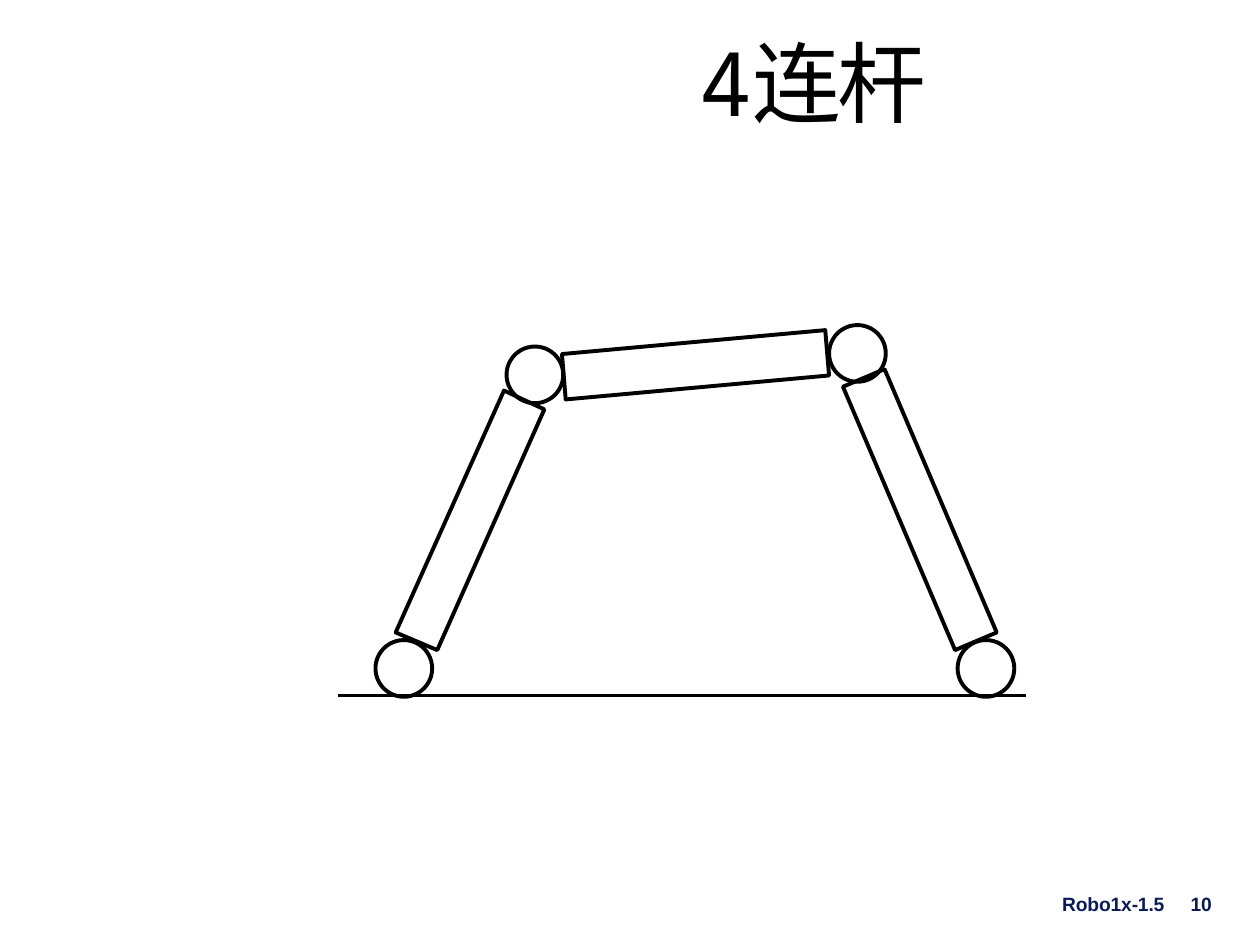
import pptx
import pptx.util
import pptx.dml.color
import pptx.enum.shapes
import pptx.enum.text
from lxml import etree
from pptx.oxml.ns import qn

Inches = pptx.util.Inches
Pt = pptx.util.Pt
BLACK = pptx.dml.color.RGBColor(0x00, 0x00, 0x00)
NAVY = pptx.dml.color.RGBColor(0x0A, 0x1B, 0x55)

JOINT_SIZE = 0.45
# Left, top of each joint relative to the linkage box
JOINTS = [(0.30, 2.50), (1.34, 0.17), (3.90, 0.00), (4.92, 2.50)]
# Corners of each bar relative to the linkage box
BARS = [
    [(0.46, 2.44), (1.32, 0.52), (1.64, 0.67), (0.79, 2.58)],
    [(1.78, 0.23), (3.87, 0.04), (3.90, 0.40), (1.81, 0.59)],
    [(4.90, 2.58), (4.01, 0.49), (4.34, 0.35), (5.23, 2.44)],
]


def add_text(frame, text, font_name, size, color, spacing, top_inset, bold=False):
    frame.word_wrap = True
    frame.auto_size = pptx.enum.text.MSO_AUTO_SIZE.NONE
    frame.vertical_anchor = pptx.enum.text.MSO_ANCHOR.TOP
    frame.margin_left = frame.margin_right = frame.margin_bottom = 0
    frame.margin_top = Inches(top_inset)
    paragraph = frame.paragraphs[0]
    paragraph.alignment = pptx.enum.text.PP_ALIGN.LEFT
    run = paragraph.add_run()
    run.text = text
    run.font.name = font_name
    run.font.size = Pt(size)
    run.font.bold = bold
    run.font.color.rgb = color
    # Character spacing in hundredths of a point
    run.font._element.set("spc", str(round(spacing * 100)))
    return paragraph


def add_title(slide, left, top, width, height):
    title = slide.shapes.title
    title.left, title.top = Inches(left), Inches(top)
    title.width, title.height = Inches(width), Inches(height)
    paragraph = add_text(title.text_frame, "4连杆", "Noto Sans Mono", 50.5, BLACK, -1.9, 0.25)
    properties = paragraph._p.get_or_add_pPr()
    properties.set("marL", str(Inches(5.17)))
    properties.set("indent", "0")


def style_outline(part):
    part.shadow.inherit = False
    part.fill.background()
    part.line.color.rgb = BLACK
    part.line.width = Pt(2.25)


def add_linkage(slide, left, top, width, height):
    # Ground line along the bottom of the box
    ground = slide.shapes.add_connector(
        pptx.enum.shapes.MSO_CONNECTOR.STRAIGHT,
        Inches(left), Inches(top + height), Inches(left + width), Inches(top + height))
    ground.line.color.rgb = BLACK
    ground.line.width = Pt(2)
    etree.SubElement(ground._element.spPr, qn("a:effectLst"))

    # Joints
    for x, y in JOINTS:
        joint = slide.shapes.add_shape(
            pptx.enum.shapes.MSO_SHAPE.OVAL, Inches(left + x), Inches(top + y),
            Inches(JOINT_SIZE), Inches(JOINT_SIZE))
        style_outline(joint)

    # Bars between the joints
    for corners in BARS:
        points = [(Inches(left + x), Inches(top + y)) for x, y in corners]
        builder = slide.shapes.build_freeform(*points[0])
        builder.add_line_segments(points[1:], close=True)
        style_outline(builder.convert_to_shape())


def add_footer(slide, left, top, width, height):
    number_width = 0.2
    entries = [("Robo1x-1.5", left, 0.83),
               ("10", left + width - number_width, number_width)]
    for text, x, entry_width in entries:
        entry = slide.shapes.add_textbox(
            Inches(x), Inches(top), Inches(entry_width), Inches(height))
        add_text(entry.text_frame, text, "Arial", 11, NAVY, -0.1, 0.02, bold=True)


def main():
    deck = pptx.Presentation()
    deck.slide_width, deck.slide_height = Inches(10), Inches(7.5)
    slide = deck.slides.add_slide(deck.slide_layouts[5])
    add_title(slide, 0.38, -0.03, 9.23, 1.1)
    add_linkage(slide, 2.68, 2.58, 5.46, 2.94)
    add_footer(slide, 8.43, 7.06, 1.22, 0.24)
    deck.save("out.pptx")


if __name__ == "__main__":
    main()
